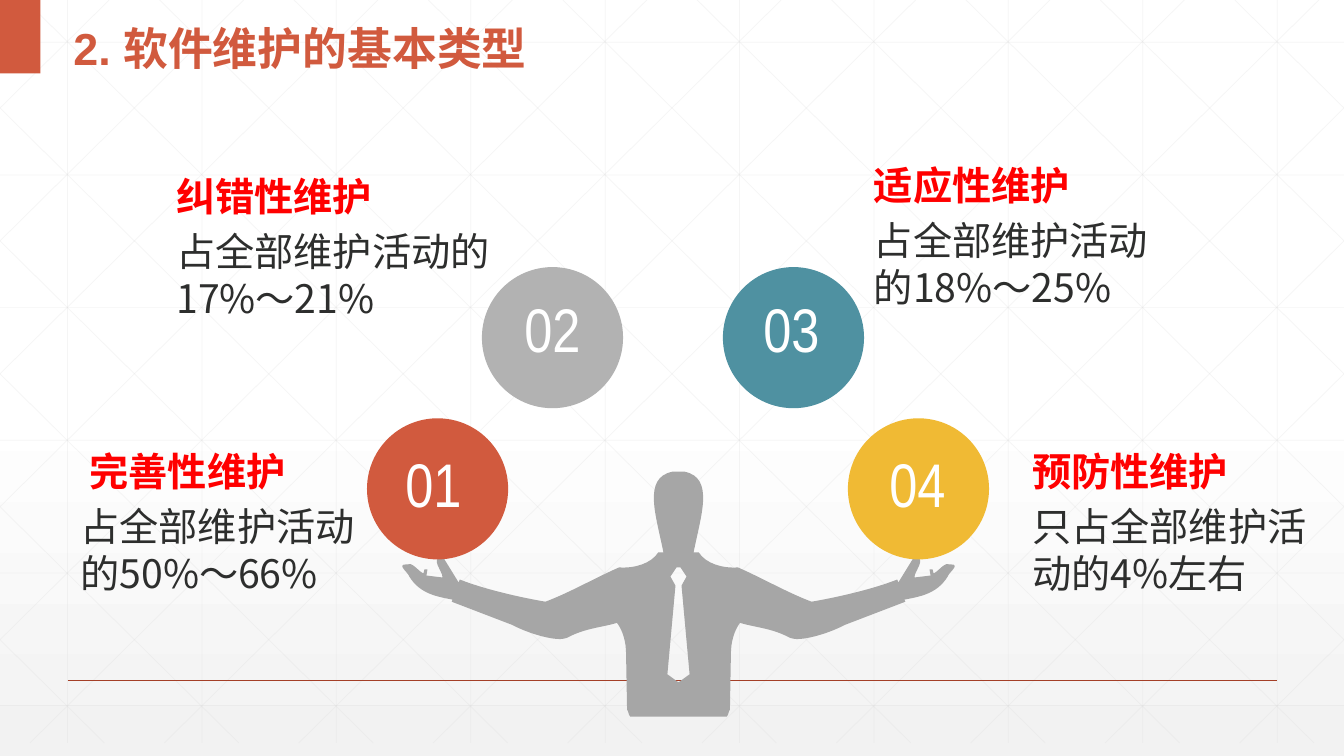
from copy import deepcopy
from dataclasses import dataclass

from lxml import etree
from pptx import Presentation
from pptx.dml.color import RGBColor
from pptx.enum.shapes import MSO_CONNECTOR, MSO_SHAPE
from pptx.enum.text import MSO_ANCHOR, PP_ALIGN
from pptx.oxml.ns import qn
from pptx.util import Pt

STRAIGHT = MSO_CONNECTOR.STRAIGHT
RECTANGLE, OVAL = MSO_SHAPE.RECTANGLE, MSO_SHAPE.OVAL
TOP, MIDDLE = MSO_ANCHOR.TOP, MSO_ANCHOR.MIDDLE
LEFT, CENTER = PP_ALIGN.LEFT, PP_ALIGN.CENTER

PX = 9144  # EMU in one px, 100 px to the inch
PAGE_WIDTH, PAGE_HEIGHT = 1333, 750


@dataclass(frozen=True)
class Theme:
    accent: str = "D15A3E"
    rule: str = "A43F27"
    grid: str = "D9D9D9"
    figure: str = "A6A6A6"
    heading: str = "FF0000"
    body: str = "2D2E2D"
    white: str = "FFFFFF"
    shade: str = "F2F2F2"
    gray: str = "B2B2B2"
    teal: str = "4F91A1"
    yellow: str = "F0BA34"
    title_size: float = 32
    number_size: float = 44
    body_size: float = 28
    body_pitch: float = 33.6
    body_gap: float = 5.6
    latin: str = "Arial"
    narrow: str = "Arial Narrow"
    cjk: str = "Noto Sans CJK SC"


THEME = Theme()

# Right half of the figure: one point is a line, three are a curve,
# measured from the middle of its top edge
BODY_HALF = [
    [(6, 0)], [(36, 6), (22, 44), (15, 80)], [(20, 80)],
    [(27, 91), (43, 96), (59, 95)], [(84, 106), (108, 120), (132, 129)],
    [(161, 124), (194, 116), (217, 107)], [(218, 110)], [(234, 84)],
    [(247, 86), (234, 98), (234, 105)], [(250, 103)], [(249, 97)],
    [(252, 97)], [(253, 101)], [(259, 98), (264, 89), (270, 92)],
    [(280, 92), (268, 100), (267, 104)], [(256, 122), (238, 124), (224, 127)],
    [(225, 129)], [(165, 152)], [(148, 161), (120, 169), (111, 165)],
    [(92, 155), (78, 155), (61, 150)], [(55, 158), (52, 169), (52, 181)],
    [(51, 236)], [(49, 238), (50, 245), (45, 243)], [(0, 243)],
]
TIE_HALF = [[(2, 95)], [(8, 104)], [(3, 113)], [(11, 201)], [(0, 209)]]

# Circle corner, its label's offset, number, colour
CIRCLES = [
    ((478, 265), (23, 19), "02", THEME.gray),
    ((364, 415), (19, 22), "01", THEME.accent),
    ((717, 265), (21, 19), "03", THEME.teal),
    ((841, 415), (22, 22), "04", THEME.yellow),
]

# Box, heading, heading indent, body
NOTES = [
    ((70, 439, 294, 161), "完善性维护", 9, "占全部维护活动的50%～66%"),
    ((165, 166, 341, 161), "纠错性维护", 0, "占全部维护活动的17%～21%"),
    ((857, 155, 294, 161), "适应性维护", 0, "占全部维护活动的18%～25%"),
    ((1014, 439, 294, 161), "预防性维护", 0, "只占全部维护活动的4%左右"),
]


def emu(*lengths):
    return [round(length * PX) for length in lengths]


def rgb(color):
    return RGBColor.from_string(color)


def paint(shape, color):
    shape.shadow.inherit = False
    shape.fill.solid()
    shape.fill.fore_color.rgb = rgb(color)
    shape.line.fill.background()


def move_to_master(page, shape):
    tree = page.slide_layout.slide_master.shapes._spTree
    shape._element.find(".//" + qn("p:cNvPr")).set("id", str(100 + len(tree)))
    tree.append(shape._element)


def add_master_line(page, start, end, color, width, opacity=100):
    line = page.shapes.add_connector(STRAIGHT, *emu(*start, *end))
    line.line.color.rgb = rgb(color)
    line.line.width = Pt(width)
    properties = line._element.spPr
    if opacity < 100:
        tint = properties.find(".//" + qn("a:srgbClr"))
        etree.SubElement(tint, qn("a:alpha"), val=str(opacity * 1000))
    etree.SubElement(properties, qn("a:effectLst"))
    move_to_master(page, line)


def add_text_frame(page, box, anchor=TOP, inset_top=5):
    frame = page.shapes.add_textbox(*emu(*box)).text_frame
    frame.word_wrap = True
    frame.vertical_anchor = anchor
    frame.margin_left, frame.margin_top = emu(10, inset_top)
    frame.margin_right, frame.margin_bottom = emu(10, 5)
    return frame


def add_span(para, text, size, color, font, bold=False):
    span = para.add_run()
    span.text = text
    span.font.size = Pt(size)
    span.font.bold = bold
    span.font.color.rgb = rgb(color)
    span.font.name = font
    etree.SubElement(span._r.get_or_add_rPr(), qn("a:ea"), typeface=THEME.cjk)


def fill_background(page):
    fill = page.background.fill
    fill.gradient()
    fill.gradient_angle = 270
    stops = page.element.find(".//" + qn("a:gsLst"))
    stops.append(deepcopy(stops[-1]))
    shades = [(0, THEME.white), (0.53, THEME.white), (1, THEME.shade)]
    for stop, (position, color) in zip(fill.gradient_stops, shades):
        stop.position = position
        stop.color.rgb = rgb(color)


def draw_grid(page, width, height):
    step = width / 10
    lines = [((67 + step * i, 0), (67 + step * i, height)) for i in range(10)]
    lines += [((0, 42 + 131.6 * i), (width, 42 + 131.6 * i)) for i in range(6)]
    # Diagonals cut off at the page sides, each with its mirror image
    run = 745
    slope = height / run
    for i in range(-5, 10):
        origin = 25 + step * i
        left, right = max(origin, 0), min(origin + run, width)
        top, bottom = (left - origin) * slope, (right - origin) * slope
        lines.append(((left, top), (right, bottom)))
        lines.append(((width - left, top), (width - right, bottom)))
    for start, end in lines:
        add_master_line(page, start, end, THEME.grid, 0.5, opacity=25)


def draw_title(page, box):
    left, top, width, height = box
    tab = page.shapes.add_shape(RECTANGLE, *emu(left, top, 40, height))
    paint(tab, THEME.accent)
    move_to_master(page, tab)
    title_box = (left + 63, top, width - 63, height)
    para = add_text_frame(page, title_box, MIDDLE, inset_top=11).paragraphs[0]
    para.alignment = LEFT
    para.line_spacing = 1.3
    add_span(para, "2. 软件维护的基本类型", THEME.title_size, THEME.accent,
             THEME.latin, bold=True)


def mirror_half(start, half):
    """Follow the right half down, then its mirror image back to the start."""
    starts = [start] + [segment[-1] for segment in half[:-1]]
    back = []
    for origin, segment in zip(reversed(starts), reversed(half)):
        points = [origin, *segment[:-1]]
        back.append([(-x, y) for x, y in points[:1] + points[1:]][::-1]
                    if len(points) == 1 else
                    [(-x, y) for x, y in (points[2], points[1], points[0])])
    return half + back


def draw_figure(page, middle, top):
    def place(point):
        return emu(middle + point[0], top + point[1])

    body = mirror_half((0, 0), BODY_HALF)
    tie = mirror_half((0, 95), TIE_HALF)
    builder = page.shapes.build_freeform(*place((0, 0)), scale=1.0)
    builder.add_line_segments([place(s[-1]) for s in body], close=True)
    builder.move_to(*place((0, 95)))
    builder.add_line_segments([place(s[-1]) for s in tie], close=True)
    figure = builder.convert_to_shape()
    paint(figure, THEME.figure)
    # Bend the sides that have control points
    sides = list(figure._element.iter(qn("a:lnTo")))
    for side, segment in zip(sides, body + tie):
        if len(segment) == 3:
            curve = etree.Element(qn("a:cubicBezTo"))
            for x, y in map(place, segment):
                etree.SubElement(curve, qn("a:pt"), x=str(x - figure.left),
                                 y=str(y - figure.top))
            side.getparent().replace(side, curve)


def draw_circle(page, corner, label_offset, number, color):
    left, top = corner
    circle = page.shapes.add_shape(OVAL, *emu(left, top, 140, 140))
    paint(circle, color)
    label_box = (left + label_offset[0], top + label_offset[1], 94, 84)
    para = add_text_frame(page, label_box).paragraphs[0]
    para.alignment = CENTER
    add_span(para, number, THEME.number_size, THEME.white, THEME.narrow)


def draw_note(page, box, heading, indent, body):
    frame = add_text_frame(page, box)
    head_para, body_para = frame.paragraphs[0], frame.add_paragraph()
    for para in (head_para, body_para):
        para.alignment = LEFT
        para.line_spacing = Pt(THEME.body_pitch)
    head_para._p.get_or_add_pPr().set("marL", str(indent * PX))
    body_para.space_before = Pt(THEME.body_gap)
    add_span(head_para, heading, THEME.body_size, THEME.heading, THEME.cjk, bold=True)
    add_span(body_para, body, THEME.body_size, THEME.body, THEME.cjk)


def main():
    deck = Presentation()
    deck.slide_width, deck.slide_height = emu(PAGE_WIDTH, PAGE_HEIGHT)
    page = deck.slides.add_slide(deck.slide_layouts[6])

    # Backdrop
    fill_background(page)
    draw_grid(page, PAGE_WIDTH, 737)
    add_master_line(page, (67, 675), (1267, 675), THEME.rule, 1)

    # Title and figure
    draw_title(page, (0, 0, 632, 73))
    draw_figure(page, 673, 468)

    # Numbered circles and their notes
    for circle in CIRCLES:
        draw_circle(page, *circle)
    for note in NOTES:
        draw_note(page, *note)

    deck.save("out.pptx")


if __name__ == "__main__":
    main()
